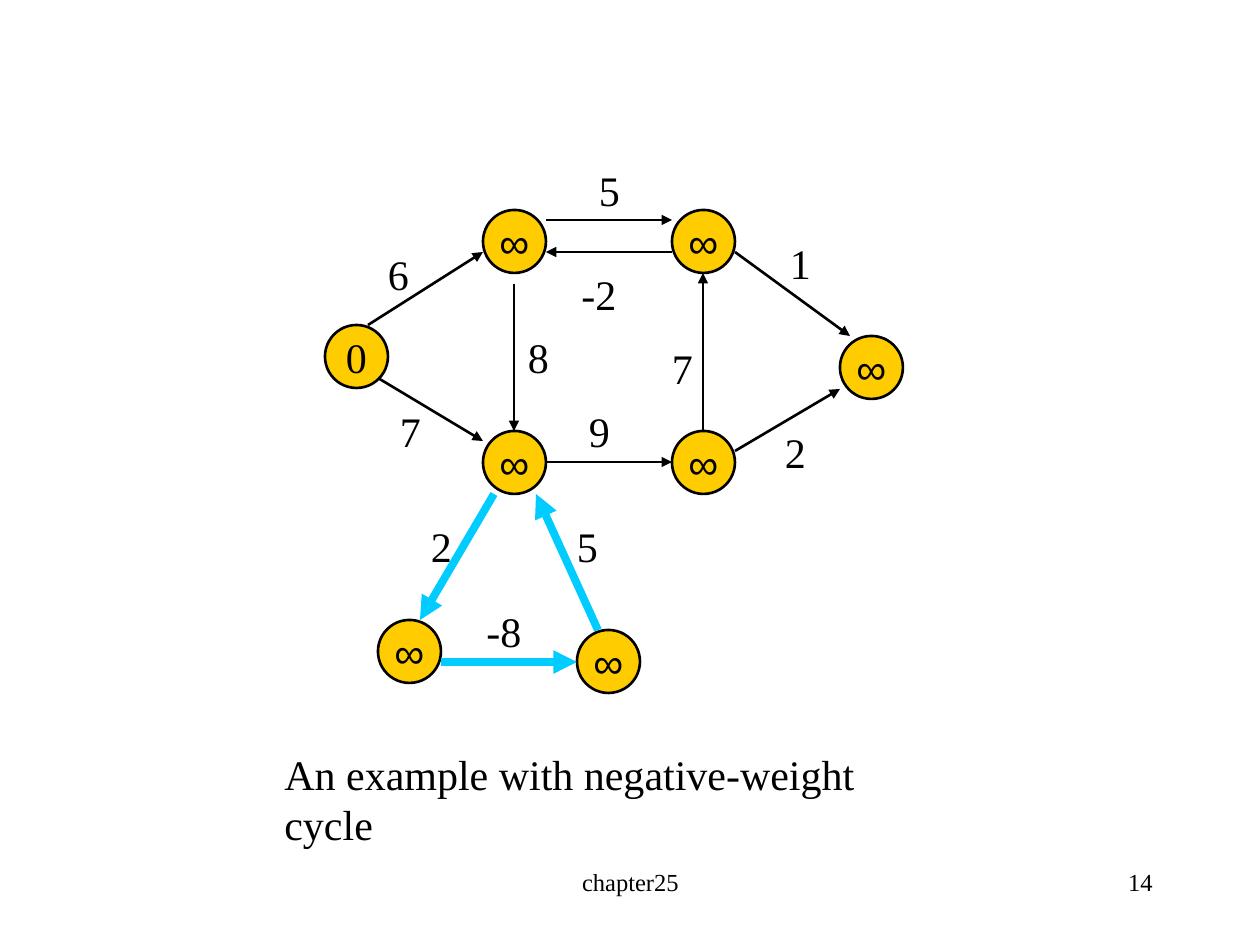
from dataclasses import dataclass

from lxml.etree import SubElement
from pptx import Presentation
from pptx.dml.color import RGBColor as RGB
from pptx.enum.shapes import MSO_CONNECTOR as LINK, MSO_SHAPE as SHAPE
from pptx.enum.text import MSO_ANCHOR as ANCHOR, PP_ALIGN as ALIGN
from pptx.oxml.ns import qn
from pptx.util import Pt

PX = 914400 / 126


@dataclass(frozen=True)
class Theme:
    ink: RGB = RGB(0, 0, 0)
    node: RGB = RGB(0xFF, 0xCC, 0x00)
    cycle: RGB = RGB(0x00, 0xCC, 0xFF)
    serif: str = "Times New Roman"
    sans: str = "Arial"
    big: int = 24
    small: int = 14
    thin: float = 1.5
    thick: float = 4.5


def emu(*px):
    return [round(n * PX) for n in px]


def write(shape, text, font, size, color, align=ALIGN.CENTER,
          anchor=ANCHOR.MIDDLE, wrap=False):
    frame = shape.text_frame
    frame.word_wrap = wrap
    frame.vertical_anchor = anchor
    para = frame.paragraphs[0]
    para.alignment = align
    run = para.add_run()
    run.text = text
    run.font.name = font
    run.font.size = Pt(size)
    run.font.color.rgb = color


class Board:
    def __init__(self, slide, theme):
        self.shapes = slide.shapes
        self.theme = theme

    def group(self):
        return self.shapes.add_group_shape().shapes

    def text(self, text, box, size=None, **form):
        shape = self.shapes.add_textbox(*emu(*box))
        write(shape, text, self.theme.serif, size or self.theme.big,
              self.theme.ink, **form)

    def node(self, home, text, x, y, side=63):
        look = self.theme
        shape = home.add_shape(SHAPE.OVAL, *emu(x, y, side, side))
        shape.shadow.inherit = False
        shape.fill.solid()
        shape.fill.fore_color.rgb = look.node
        shape.line.color.rgb = look.ink
        shape.line.width = Pt(look.thin)
        font = look.serif if text.isdigit() else look.sans
        write(shape, text, font, look.big, look.ink)

    def edge(self, home, start, end, color, width):
        line = home.add_connector(LINK.STRAIGHT, *emu(*start, *end))
        line.line.color.rgb = color
        line.line.width = Pt(width)
        SubElement(line.line._get_or_add_ln(), qn("a:tailEnd"), type="triangle")
        SubElement(line._element.spPr, qn("a:effectLst"))

    def label(self, text, mid, top):
        """Centre an edge weight on mid."""
        wide = 30 + 15 * len(text)
        self.text(text, (mid - wide / 2, top, wide, 63))


NODES = [
    ("0", 325, 325), ("∞", 483, 431), ("∞", 483, 210), ("∞", 672, 431),
    ("∞", 840, 336), ("∞", 672, 210), ("∞", 577, 630), ("∞", 378, 620),
]
# Each edge: start, end, weight, centre and top of the weight
EDGES = [
    ((368, 325), (483, 252), "6", 398, 242),
    ((378, 378), (483, 441), "7", 410, 399),
    ((546, 220), (672, 220), "5", 609, 158),
    ((672, 252), (546, 252), "-2", 599, 262),
    ((514, 284), (514, 431), "8", 538, 325),
    ((546, 462), (672, 462), "9", 599, 399),
    ((703, 431), (703, 273), "7", 682, 336),
    ((735, 252), (850, 336), "1", 800, 231),
    ((735, 451), (840, 389), "2", 795, 420),
]
CYCLE = [
    ((494, 494), (420, 620), "2", 441, 514),
    ((441, 662), (577, 662), "-8", 504, 599),
    ((598, 630), (536, 494), "5", 587, 514),
]


def main():
    deck = Presentation()
    deck.slide_width, deck.slide_height = emu(1260, 945)
    look = Theme()
    board = Board(deck.slides.add_slide(deck.slide_layouts[6]), look)

    foot = dict(size=look.small, anchor=ANCHOR.TOP, wrap=True)
    board.text("chapter25", (431, 861, 399, 63), **foot)
    board.text("14", (903, 861, 262, 63), align=ALIGN.RIGHT, **foot)

    ring = board.group()
    for node in NODES:
        board.node(ring, *node)
    for start, end, *_ in EDGES:
        board.edge(board.shapes, start, end, look.ink, look.thin)
    loop = board.group()
    for start, end, *_ in CYCLE:
        board.edge(loop, start, end, look.cycle, look.thick)
    for _, _, *label in EDGES + CYCLE:
        board.label(*label)

    board.text("An example with negative-weight cycle", (272, 767, 694, 63),
               align=ALIGN.LEFT)
    deck.save("out.pptx")


if __name__ == "__main__":
    main()
